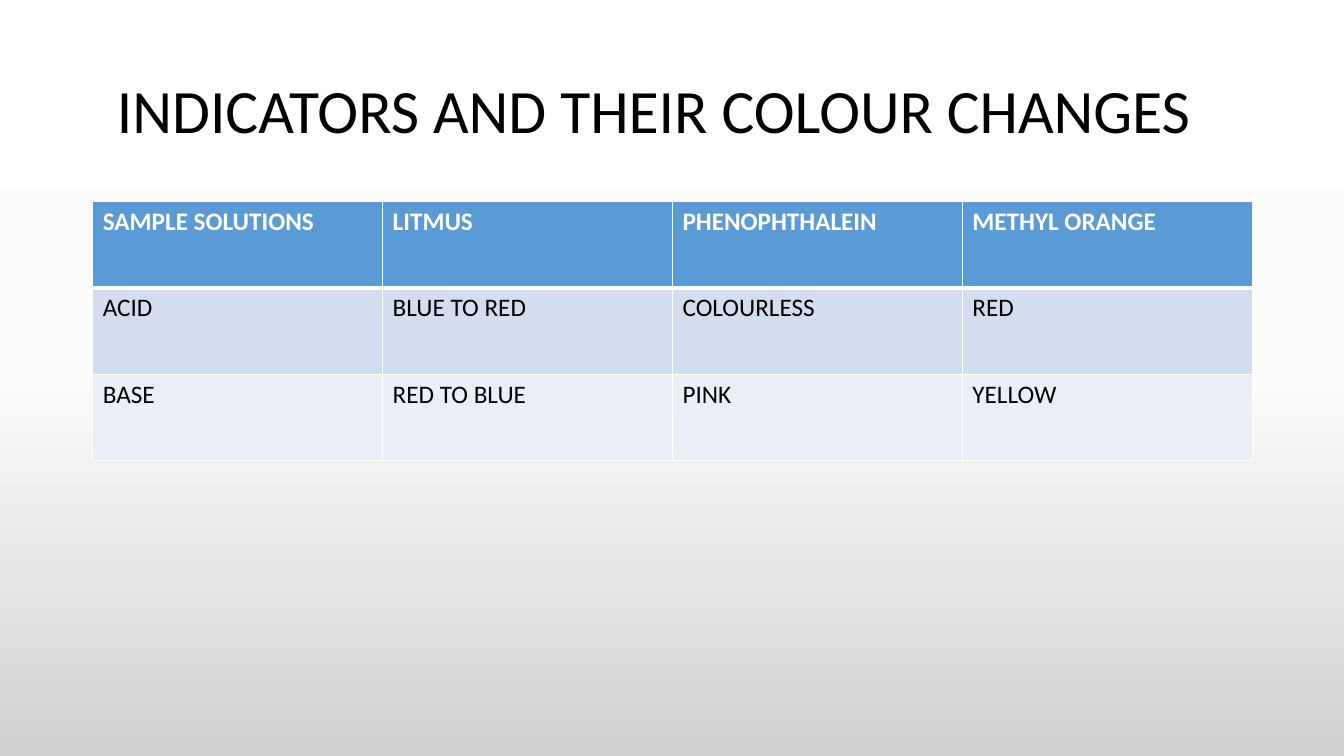
from copy import deepcopy

from lxml import etree
from pptx import Presentation
from pptx.dml.color import RGBColor
from pptx.enum.text import MSO_ANCHOR
from pptx.oxml.ns import qn
from pptx.util import Inches, Pt

MIDDLE = MSO_ANCHOR.MIDDLE
BLACK = RGBColor(0x00, 0x00, 0x00)
WHITE = RGBColor(0xFF, 0xFF, 0xFF)
NEAR_WHITE = RGBColor(0xFB, 0xFB, 0xFB)
GREY = RGBColor(0xD1, 0xD1, 0xD1)
BLUE = RGBColor(0x5B, 0x9B, 0xD5)
LIGHT_BLUE = RGBColor(0xD2, 0xDE, 0xEF)
PALE_BLUE = RGBColor(0xEA, 0xEF, 0xF7)

INDICATOR_ROWS = [
    ["SAMPLE SOLUTIONS", "LITMUS", "PHENOPHTHALEIN", "METHYL ORANGE"],
    ["ACID", "BLUE TO RED", "COLOURLESS", "RED"],
    ["BASE", "RED TO BLUE", "PINK", "YELLOW"],
]
ROW_FILLS = [BLUE, LIGHT_BLUE, PALE_BLUE]


def write_text(text_frame, text, size=18, color=BLACK, bold=False, line_spacing=1.0):
    paragraph = text_frame.paragraphs[0]
    paragraph.line_spacing = line_spacing
    run = paragraph.add_run()
    run.text = text
    run.font.name = "Calibri"
    run.font.size = Pt(size)
    run.font.bold = bold
    run.font.color.rgb = color


def add_border(cell, side, width):
    properties = cell._tc.get_or_add_tcPr()
    line = etree.SubElement(properties, qn(f"a:{side}"), w=str(Pt(width)))
    fill = etree.SubElement(line, qn("a:solidFill"))
    etree.SubElement(fill, qn("a:srgbClr"), val=str(WHITE))


presentation = Presentation()
presentation.slide_width = Inches(13.33)
presentation.slide_height = Inches(7.5)
slide = presentation.slides.add_slide(presentation.slide_layouts[6])

background = slide.background.fill
background.gradient()
background.gradient_angle = 270
stop_list = slide.element.find(".//" + qn("a:gsLst"))
stop_list.insert(1, deepcopy(stop_list[0]))
for stop, position, color in zip(
    background.gradient_stops, [0, 0.5, 1], [WHITE, NEAR_WHITE, GREY]
):
    stop.position = position
    stop.color.rgb = color

title = slide.shapes.add_textbox(Inches(0.92), Inches(0.4), Inches(11.5), Inches(1.45))
title_frame = title.text_frame
title_frame.word_wrap = True
title_frame.vertical_anchor = MIDDLE
title_frame.margin_left = Inches(0.24)
write_text(title_frame, "INDICATORS AND THEIR COLOUR CHANGES", size=44, line_spacing=0.9)

table = slide.shapes.add_table(
    len(INDICATOR_ROWS), len(INDICATOR_ROWS[0]),
    Inches(0.92), Inches(2), Inches(11.5), Inches(2.57),
).table
for row_index, (labels, row_fill) in enumerate(zip(INDICATOR_ROWS, ROW_FILLS)):
    is_header = row_index == 0
    for column_index, label in enumerate(labels):
        cell = table.cell(row_index, column_index)
        add_border(cell, "lnL", 1)
        add_border(cell, "lnR", 1)
        add_border(cell, "lnT", 3 if row_index == 1 else 1)
        add_border(cell, "lnB", 3 if is_header else 1)
        cell.fill.solid()
        cell.fill.fore_color.rgb = row_fill
        write_text(
            cell.text_frame, label, color=WHITE if is_header else BLACK, bold=is_header
        )

presentation.save("out.pptx")
